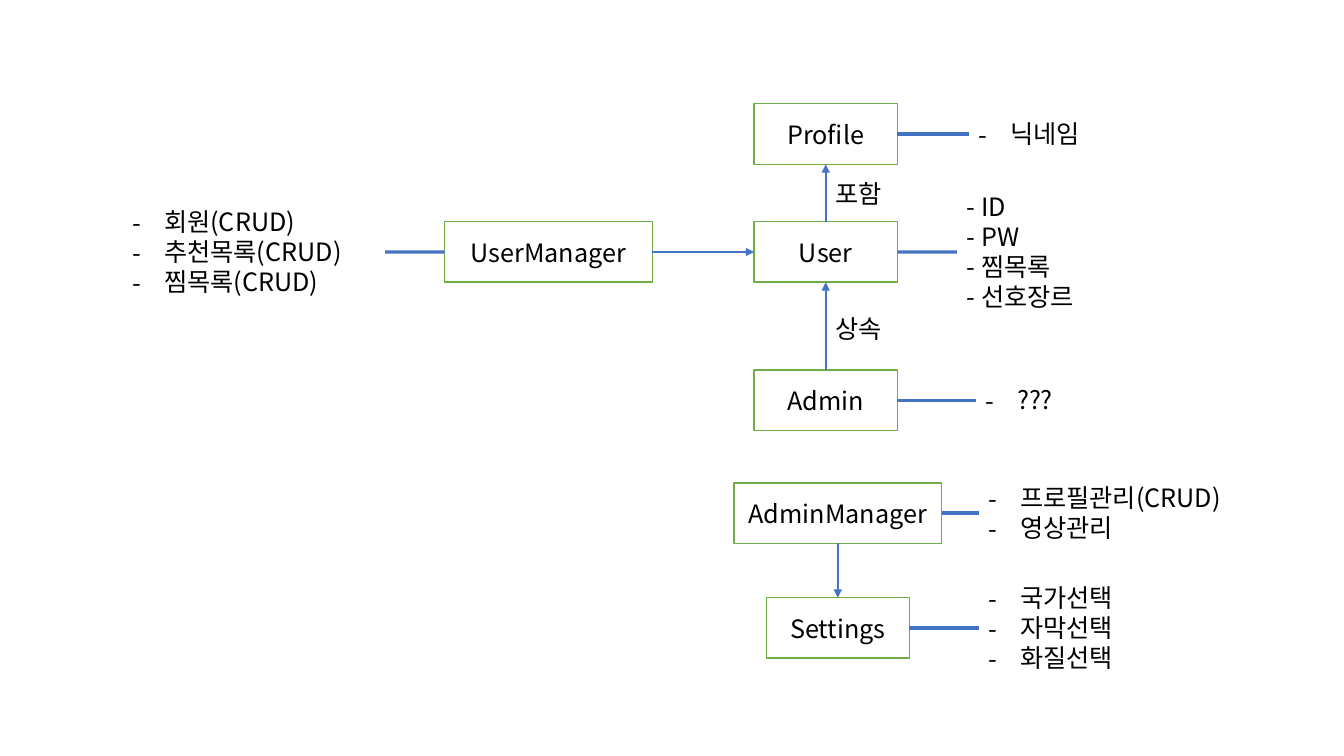
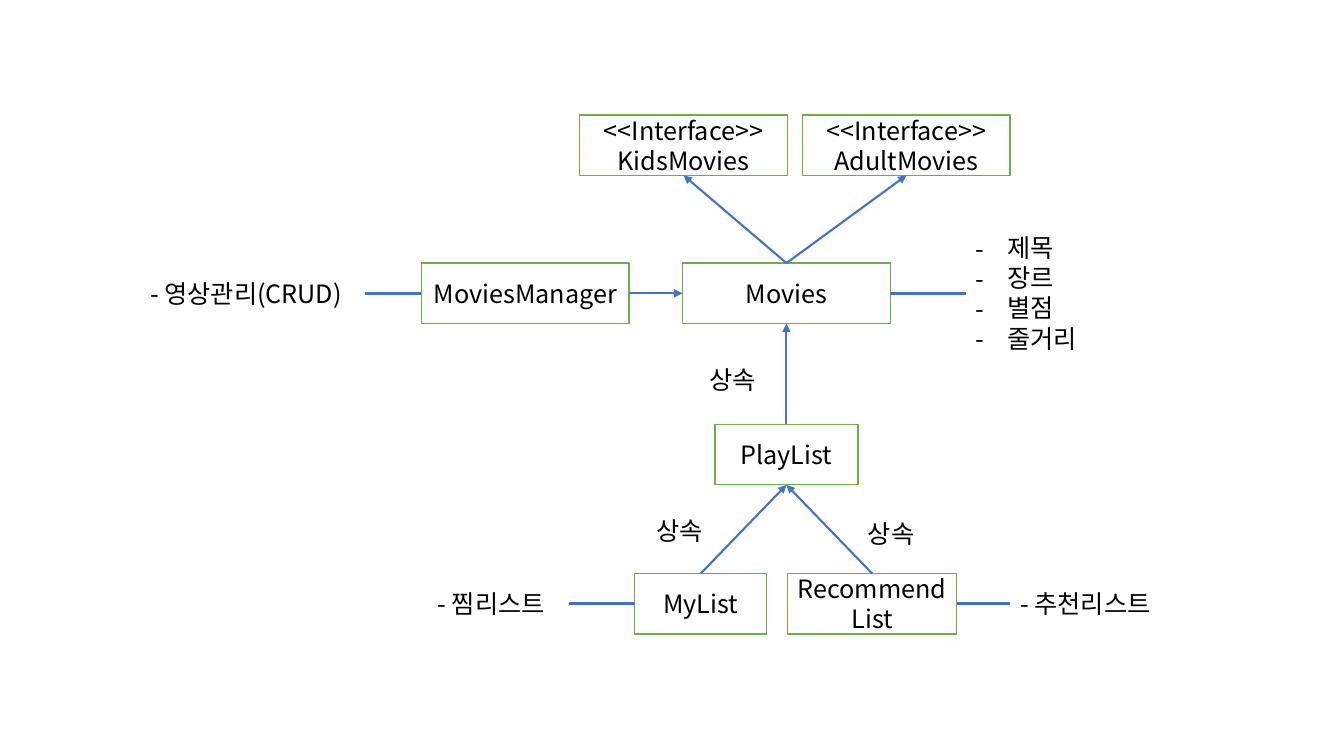
from lxml import etree
from pptx import Presentation, util as u
from pptx.dml.color import RGBColor
from pptx.enum import shapes, text
from pptx.oxml.ns import qn

COLORS = {"paper": "FFFFFF", "border": "70AD47", "link": "4472C4", "ink": "000000"}
FONT = "Noto Sans CJK KR"
BOX_HEIGHT, LINE_HEIGHT, INSET, HANG = 0.6, 0.303, 0.1, 0.31
TOP, LEFT, BOTTOM, RIGHT = range(4)
OPPOSITE = {TOP: BOTTOM, BOTTOM: TOP, LEFT: RIGHT, RIGHT: LEFT}
NARROW, WIDE = 1.42, 2.06

user_x, settings_x, user_y = 8.19, 8.31, 2.5
movies_x, movies_y, list_y = 7.8, 2.91, 5.99

DIAGRAMS = [
    {
        "boxes": {
            "User": (user_x, user_y, NARROW),
            "Admin": (user_x, 3.97, NARROW),
            "Profile": (user_x, 1.33, NARROW),
            "Settings": (settings_x, 6.23, NARROW),
            "AdminManager": (settings_x, 5.09, WIDE),
            "UserManager": (5.44, user_y, WIDE),
        },
        "arrows": [
            ("Admin", TOP, "User"),
            ("User", TOP, "Profile"),
            ("AdminManager", BOTTOM, "Settings"),
            ("UserManager", RIGHT, "User"),
        ],
        "labels": [("상속", 8.19, 3.06), ("포함", 8.19, 1.72)],
        "notes": [
            ("User", RIGHT, 9.49, 1.4, False, False, ["- ID", "- PW", "- 찜목록", "- 선호장르"]),
            ("Admin", RIGHT, 9.68, 1.2, True, True, ["???"]),
            ("Profile", RIGHT, 9.61, 1.27, False, True, ["닉네임"]),
            ("AdminManager", RIGHT, 9.71, 2.61, False, True, ["프로필관리(CRUD)", "영상관리"]),
            ("Settings", RIGHT, 9.71, 1.53, False, True, ["국가선택", "자막선택", "화질선택"]),
            ("UserManager", LEFT, 1.22, 2.6, True, True,
             ["회원(CRUD)", "추천목록(CRUD)", "찜목록(CRUD)"]),
        ],
    },
    {
        "boxes": {
            "MoviesManager": (5.21, movies_y, WIDE),
            "Movies": (movies_x, movies_y, WIDE),
            "<<Interface>>\nKidsMovies": (6.78, 1.44, WIDE),
            "<<Interface>>\nAdultMovies": (8.99, 1.44, WIDE),
            "PlayList": (movies_x, 4.51, NARROW),
            "RecommendList": (8.65, list_y, 1.68),
            "MyList": (6.95, list_y, 1.31),
        },
        "arrows": [
            ("MoviesManager", RIGHT, "Movies"),
            ("RecommendList", TOP, "PlayList"),
            ("MyList", TOP, "PlayList"),
            ("Movies", TOP, "<<Interface>>\nKidsMovies"),
            ("Movies", TOP, "<<Interface>>\nAdultMovies"),
            ("PlayList", TOP, "Movies"),
        ],
        "labels": [("상속", 8.51, 5.09), ("상속", 6.41, 5.06), ("상속", 6.94, 3.57)],
        "notes": [
            ("Movies", RIGHT, 9.58, 1.47, True, True, ["제목", "장르", "별점", "줄거리"]),
            ("MoviesManager", LEFT, 1.39, 2.23, False, False, ["- 영상관리(CRUD)"]),
            ("RecommendList", RIGHT, 10.02, 1.66, False, False, ["- 추천리스트"]),
            ("MyList", LEFT, 4.24, 1.4, False, False, ["- 찜리스트"]),
        ],
    },
]


def write(shape, lines, frame_format, alignment=text.PP_ALIGN.LEFT, bulleted=False):
    frame = shape.text_frame
    for name, value in frame_format.items():
        setattr(frame, name, value)
    frame.text = "\n".join(lines)
    for paragraph in frame.paragraphs:
        paragraph.alignment = alignment
        font = paragraph.runs[0].font
        for name, value in {"name": FONT, "size": u.Pt(18)}.items():
            setattr(font, name, value)
        font.color.rgb = RGBColor.from_string(COLORS["ink"])
        latin = font._element.find(qn("a:latin"))
        latin.addnext(etree.Element(qn("a:ea"), typeface=FONT))
        if bulleted:
            properties = paragraph._p.get_or_add_pPr()
            properties.set("marL", str(u.Inches(HANG)))
            properties.set("indent", str(-u.Inches(HANG)))
            etree.SubElement(properties, qn("a:buFont"), typeface=FONT)
            etree.SubElement(properties, qn("a:buChar"), char="-")


def link(slide, start, side, end, width, arrow):
    connector = slide.shapes.add_connector(shapes.MSO_CONNECTOR.STRAIGHT, 0, 0, 0, 0)
    connector.begin_connect(start, side)
    connector.end_connect(end, OPPOSITE[side])
    connector.line.color.rgb = RGBColor.from_string(COLORS["link"])
    connector.line.width = u.Pt(width)
    if arrow:
        etree.SubElement(connector.line._get_or_add_ln(), qn("a:tailEnd"), type="triangle")
    etree.SubElement(connector._element.spPr, qn("a:effectLst"))


presentation = Presentation()
presentation.slide_width, presentation.slide_height = u.Inches(13.33), u.Inches(7.5)
box_format = {"word_wrap": True, "vertical_anchor": text.MSO_ANCHOR.MIDDLE}
text_format = {"word_wrap": False, "auto_size": text.MSO_AUTO_SIZE.SHAPE_TO_FIT_TEXT}

for diagram in DIAGRAMS:
    slide = presentation.slides.add_slide(presentation.slide_layouts[6])
    boxes = {}
    for name, (x, y, width) in diagram["boxes"].items():
        box = slide.shapes.add_shape(
            shapes.MSO_SHAPE.RECTANGLE, u.Inches(x - width / 2), u.Inches(y - BOX_HEIGHT / 2),
            u.Inches(width), u.Inches(BOX_HEIGHT))
        box.shadow.inherit = False
        box.fill.solid()
        box.fill.fore_color.rgb = RGBColor.from_string(COLORS["paper"])
        box.line.color.rgb = RGBColor.from_string(COLORS["border"])
        box.line.width = u.Pt(1)
        write(box, name.split("\n"), box_format, text.PP_ALIGN.CENTER)
        boxes[name] = box

    for start, side, end in diagram["arrows"]:
        link(slide, boxes[start], side, boxes[end], 1.5, True)

    for label, left, top in diagram["labels"]:
        label_box = slide.shapes.add_textbox(
            u.Inches(left), u.Inches(top), u.Inches(0.71), u.Inches(INSET + LINE_HEIGHT))
        write(label_box, [label], text_format)

    for name, side, left, width, wrapped, bulleted, lines in diagram["notes"]:
        height = INSET + LINE_HEIGHT * len(lines)
        middle = diagram["boxes"][name][1]
        note = slide.shapes.add_textbox(
            u.Inches(left), u.Inches(middle - height / 2), u.Inches(width), u.Inches(height))
        write(note, lines, text_format | {"word_wrap": wrapped}, bulleted=bulleted)
        link(slide, boxes[name], side, note, 2.25, False)

presentation.save("out.pptx")
